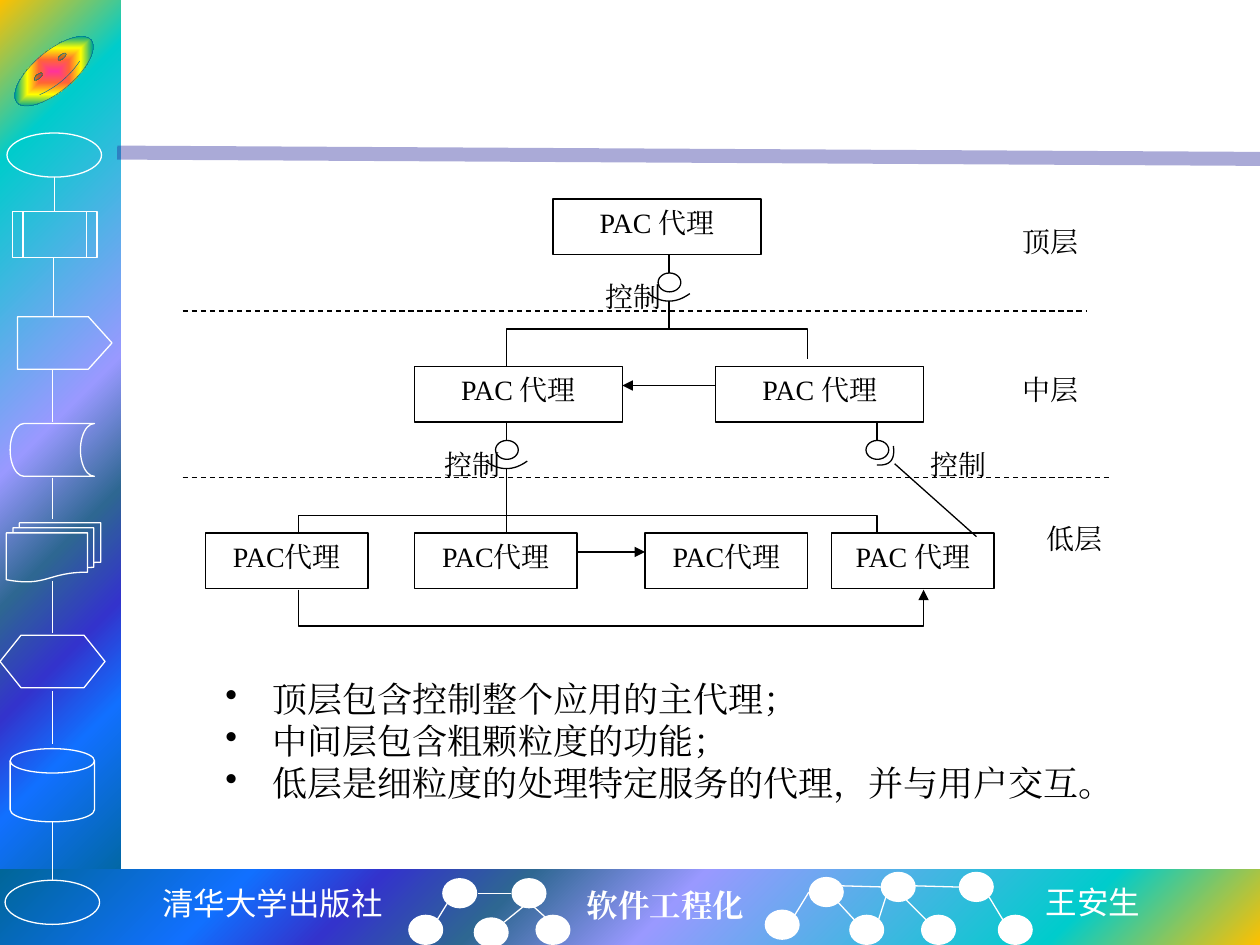
from pptx import Presentation
from pptx.dml.color import RGBColor
from pptx.enum.dml import MSO_LINE
from pptx.enum.shapes import MSO_CONNECTOR, MSO_SHAPE
from pptx.enum.text import MSO_ANCHOR, PP_ALIGN
from pptx.oxml import parse_xml
from pptx.oxml.ns import nsdecls, qn
from pptx.util import Pt

BLACK = RGBColor(0x00, 0x00, 0x00)
WHITE = RGBColor(0xFF, 0xFF, 0xFF)
INDIGO = RGBColor(0x26, 0x26, 0x99)
TEAL = RGBColor(0x00, 0x66, 0x99)
SPECTRUM = [(0, "FFC000"), (16, "00CCCC"), (47, "9999FF"), (60, "2E6792"),
            (71, "3333CC"), (81, "1170FF"), (100, "006699")]
RAINBOW = [(0, "FF3399"), (25, "FF6633"), (50, "FFFF00"), (75, "01A78F"), (100, "3366FF")]
SERIF, SANS, MONO = "Times New Roman", "Noto Sans CJK SC", "Noto Sans Mono"
RECTANGLE, ELLIPSE, SMILEY = MSO_SHAPE.RECTANGLE, MSO_SHAPE.OVAL, MSO_SHAPE.SMILEY_FACE
PROCESS, STORAGE = MSO_SHAPE.FLOWCHART_PREDEFINED_PROCESS, MSO_SHAPE.FLOWCHART_STORED_DATA
DISK, PREPARATION = MSO_SHAPE.FLOWCHART_MAGNETIC_DISK, MSO_SHAPE.FLOWCHART_PREPARATION
DOCUMENTS, HOME_PLATE = MSO_SHAPE.FLOWCHART_MULTIDOCUMENT, MSO_SHAPE.PENTAGON
STRAIGHT, DASH = MSO_CONNECTOR.STRAIGHT, MSO_LINE.DASH
LEFT, CENTER, TOP = PP_ALIGN.LEFT, PP_ALIGN.CENTER, MSO_ANCHOR.TOP


class Painter:
    """Draws styled elements on the current slide, with lengths in points."""

    def __init__(self, page):
        self.shapes = page.shapes
        self.hairline = 0.75

    def shape(self, kind, left, top, width, height, line=None, fill=None):
        shape = self.shapes.add_shape(kind, Pt(left), Pt(top), Pt(width), Pt(height))
        self.finish(shape, line, fill)
        return shape

    def finish(self, shape, line, fill=None):
        shape.shadow.inherit = False
        if fill is None:
            shape.fill.background()
        else:
            shape.fill.solid()
            shape.fill.fore_color.rgb = fill
        if line is None:
            shape.line.fill.background()
        else:
            shape.line.color.rgb = line
            shape.line.width = Pt(self.hairline)

    def gradient(self, shape, stops, kind, focus):
        stop_xml = "".join(f'<a:gs pos="{place * 1000}"><a:srgbClr val="{color}"/></a:gs>'
                           for place, color in stops)
        edges = " ".join(f'{side}="{value * 1000}"' for side, value in zip("ltrb", focus))
        gradient = parse_xml(
            f'<a:gradFill {nsdecls("a")} rotWithShape="1"><a:gsLst>{stop_xml}</a:gsLst>'
            f'<a:path path="{kind}"><a:fillToRect {edges}/></a:path></a:gradFill>')
        properties = shape.element.spPr
        properties.replace(properties.find(qn("a:noFill")), gradient)

    def arrowhead(self, shape):
        shape.element.spPr.find(qn("a:ln")).append(
            parse_xml(f'<a:tailEnd {nsdecls("a")} type="triangle"/>'))

    def line(self, start, end, color=BLACK, width=None, dash=None, arrow=False):
        line = self.shapes.add_connector(STRAIGHT, *map(Pt, start + end))
        line.element.spPr.append(parse_xml(f'<a:effectLst {nsdecls("a")}/>'))
        line.line.color.rgb = color
        line.line.width = Pt(width or self.hairline)
        if dash:
            line.line.dash_style = dash
        if arrow:
            self.arrowhead(line)
        return line

    def outline(self, points, arrow=False):
        first, *others = [(Pt(x), Pt(y)) for x, y in points]
        builder = self.shapes.build_freeform(*first)
        builder.add_line_segments(others, close=False)
        shape = builder.convert_to_shape()
        self.finish(shape, BLACK)
        if arrow:
            self.arrowhead(shape)

    def set_text(self, frame, lines, size, font=SERIF, color=BLACK, align=CENTER,
                 bold=False, bullet=None):
        frame.text = "\n".join(lines)
        for para in frame.paragraphs:
            para.alignment = align
            if bullet:
                properties = para._p.get_or_add_pPr()
                properties.set("marL", str(Pt(27)))
                properties.set("indent", str(Pt(-27)))
                properties.append(parse_xml(f'<a:buChar {nsdecls("a")} char="{bullet}"/>'))
            for span in para.runs:
                span.font.size = Pt(size)
                span.font.name = font
                span.font.bold = bold
                span.font.color.rgb = color
                span._r.get_or_add_rPr().append(
                    parse_xml(f'<a:ea {nsdecls("a")} typeface="{font}"/>'))

    def text(self, left, top, width, height, lines, size=16, wrap=True, **style):
        box = self.shapes.add_textbox(Pt(left), Pt(top), Pt(width), Pt(height))
        box.text_frame.word_wrap = wrap
        self.set_text(box.text_frame, lines, size, **style)

    def agent(self, left, top, width, label):
        box = self.shape(RECTANGLE, left, top, width, 31.7, BLACK)
        box.text_frame.vertical_anchor = TOP
        self.set_text(box.text_frame, [label], 16)

    def joint(self, x, y, bowl):
        self.line((x, y), (x, y + 10.5))
        self.shape(ELLIPSE, x - 6.25, y + 10.5, 13, 10.8, BLACK)
        (x1, y1), (x2, y2), (x3, y3) = bowl
        control_x, control_y = 2 * x2 - (x1 + x3) / 2, 2 * y2 - (y1 + y3) / 2
        curve = []
        for step in range(17):
            t = step / 16
            a, b, c = (1 - t) ** 2, 2 * t * (1 - t), t * t
            curve.append((x + a * x1 + b * control_x + c * x3,
                          y + a * y1 + b * control_y + c * y3))
        self.outline(curve)


def draw_frame(painter):
    side = painter.shape(RECTANGLE, 0, 0, 69, 510.5)
    painter.gradient(side, SPECTRUM, "circle", (0, 0, 100, 100))
    footer = painter.shape(RECTANGLE, 0, 496.8, 720, 43.2)
    painter.gradient(footer, SPECTRUM, "circle", (100, 100, 0, 0))
    divider = painter.line((67, 87.2), (720, 90.8), INDIGO, 8)
    color = divider.element.spPr.find(".//" + qn("a:srgbClr"))
    color.append(parse_xml(f'<a:alpha {nsdecls("a")} val="39000"/>'))
    for kind, *place in [
            (ELLIPSE, 4, 76, 54, 25.2), (PROCESS, 7.2, 121, 48.2, 26),
            (STORAGE, 5.8, 242, 48.2, 30.2), (DOCUMENTS, 3.6, 298.8, 54, 33.8),
            (PREPARATION, 0, 363, 60, 30), (DISK, 5.8, 427.8, 48.2, 41.8),
            (ELLIPSE, 2.9, 503, 54, 25.2)]:
        painter.shape(kind, *place, WHITE)
    plate = painter.shape(HOME_PLATE, 10, 181, 54, 30, WHITE)
    plate.adjustments[0] = 0.45
    face = painter.shape(SMILEY, 3.2, 29.2, 55.4, 23, TEAL)
    face.adjustments[0] = 0.047
    face.rotation = -40
    face.line.width = Pt(0.25)
    painter.gradient(face, RAINBOW, "shape", (50, 50, 50, 50))
    for x, top, bottom in [(31, 101, 121), (30.6, 147.4, 181), (30.2, 211, 241.2),
                           (30.2, 273, 296.8), (30.2, 332, 362), (30.2, 395, 425),
                           (30.2, 470, 503)]:
        painter.line((x, top), (x, bottom), WHITE)
    for left, top in [(252.7, 501.8), (233.3, 522.7), (270.7, 524.2), (292.3, 501.8),
                      (306, 522.7), (437, 519.8), (462.2, 501.1), (485.3, 522.7),
                      (503.3, 498.2), (526.3, 522.7), (547.9, 498.2), (570.2, 522.7)]:
        painter.shape(ELLIPSE, left, top, 20, 17.3, fill=WHITE)
    for start, end in [
            ((249.8, 525.6), (255.6, 516.2)), ((288, 527), (299.5, 517.7)),
            ((292.3, 510.5), (272.9, 510.5)), ((312.5, 524.9), (305.3, 518.4)),
            ((454.3, 522.7), (462.2, 509.8)), ((488.2, 525.6), (478.8, 515.5)),
            ((481, 506.2), (506.2, 506.9)), ((501.8, 526.3), (506.2, 512.6)),
            ((529.2, 525.6), (514.8, 511.2)), ((522.7, 506.2), (547.9, 506.9)),
            ((573.1, 525.6), (565.2, 512.6))]:
        painter.line(start, end, WHITE)
    for left, top, width, label, font, bold in [
            (85.7, 501.8, 141.8, "清华大学出版社", MONO, False),
            (328.3, 502.6, 105, "软件工程化", SERIF, True),
            (590.4, 501.1, 69, "王安生", SANS, False)]:
        painter.text(left, top, width, 28.8, [label], 18, wrap=False, font=font,
                     color=WHITE, align=LEFT, bold=bold)


def draw_hierarchy(painter):
    for left, top in [(316, 113.8), (236.9, 209.5), (409, 209.5)]:
        painter.agent(left, top, 118.8, "PAC 代理")
    for left, label in [(117.4, "PAC代理"), (236.9, "PAC代理"),
                        (368.6, "PAC代理"), (475.2, "PAC 代理")]:
        painter.agent(left, 304.6, 92.9, label)
    level_bowl = [(11.9, 22.3), (0, 26.6), (-11.9, 22.3)]
    tilted_bowl = [(9.4, 13.7), (7.9, 22.3), (0, 24.5)]
    painter.joint(382.3, 145.5, level_bowl)
    painter.joint(289.4, 241.2, level_bowl)
    painter.joint(501.1, 241.2, tilted_bowl)
    painter.line((382.3, 172.1), (382.3, 188))
    painter.line((289.4, 267.8), (289.4, 304.6))
    painter.line((511.2, 265), (558, 306.7))
    painter.outline([(289.4, 209.5), (289.4, 188), (461.5, 188), (461.5, 205.2)])
    painter.outline([(170.6, 304.6), (170.6, 294.5), (501.1, 294.5), (501.1, 304.6)])
    painter.outline([(170.6, 337), (170.6, 357.8), (527.8, 357.8), (527.8, 337)], arrow=True)
    painter.line((329.8, 315.4), (368.6, 315.4), arrow=True)
    painter.line((409, 220.3), (355.7, 220.3), arrow=True)
    painter.line((104.4, 177.8), (620.6, 177.8), dash=DASH)
    painter.line((104.4, 272.9), (633.6, 272.9), dash=DASH)
    for left, top, label in [
            (329, 156.2, "控制"), (236.9, 252, "控制"), (514.8, 252, "控制"),
            (567.4, 124.6, "顶层"), (567.4, 209.5, "中层"), (581, 294.5, "低层")]:
        painter.text(left, top, 66.2, 31.7, [label])
    painter.text(121.7, 383.8, 538.6, 80, [
        "顶层包含控制整个应用的主代理；", "中间层包含粗颗粒度的功能；",
        "低层是细粒度的处理特定服务的代理，并与用户交互。"], 20, align=LEFT, bullet="•")


def main():
    deck = Presentation()
    deck.slide_width, deck.slide_height = Pt(720), Pt(540)
    painter = Painter(deck.slides.add_slide(deck.slide_layouts[6]))
    draw_frame(painter)
    draw_hierarchy(painter)
    deck.save("out.pptx")


if __name__ == "__main__":
    main()
